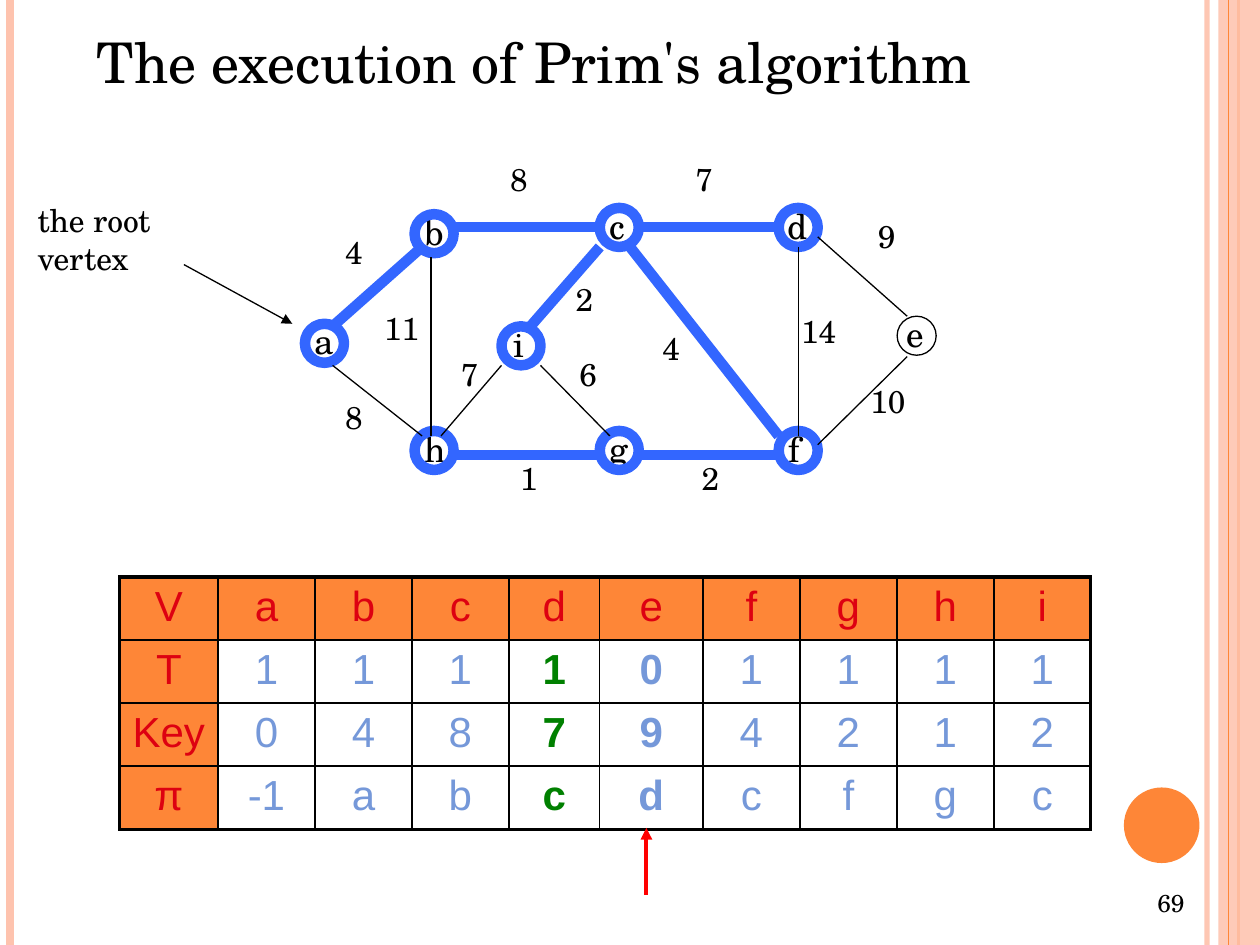
"""Build a slide showing one step of Prim's algorithm with its graph and state table."""
from lxml import etree
from pptx import Presentation
from pptx.dml.color import RGBColor
from pptx.enum.shapes import MSO_CONNECTOR, MSO_SHAPE
from pptx.enum.text import MSO_AUTO_SIZE, PP_ALIGN
from pptx.oxml.ns import qn
from pptx.util import Inches, Pt

STRAIGHT = MSO_CONNECTOR.STRAIGHT
RECT, OVAL = MSO_SHAPE.RECTANGLE, MSO_SHAPE.OVAL
LEFT, CENTER, RIGHT = PP_ALIGN.LEFT, PP_ALIGN.CENTER, PP_ALIGN.RIGHT

SERIF, SANS = "TeX Gyre Schola", "Arial"
C = {"black": "000000", "orange": "FE8637", "peach": "FEC3AE", "tree": "3366FF",
     "head": "DD0111", "value": "7598D9", "current": "008000", "pointer": "FF0000"}

STRIPES = [(9.58, "peach", 3, 93), (0.08, "peach", 4.5, 100), (9.83, "orange", 1.5, 100)]

RING = 0.31
NODES = [  # name, ring left, ring top, text left, text width
    ("a", 2.42, 2.57, 2.40, 0.36), ("b", 3.29, 1.70, 3.27, 0.36),
    ("h", 3.29, 3.42, 3.27, 0.36), ("c", 4.76, 1.65, 4.74, 0.34),
    ("d", 6.18, 1.65, 6.15, 0.36), ("e", 7.12, 2.51, 7.10, 0.36),
    ("f", 6.18, 3.42, 6.16, 0.28), ("g", 4.76, 3.42, 4.74, 0.36),
    ("i", 3.98, 2.59, 3.98, 0.28),
]
OUTSIDE_TREE = "e"

TREE_EDGES = [
    (2.64, 2.59, 3.35, 1.96), (3.58, 1.80, 4.76, 1.80), (3.58, 3.61, 4.76, 3.61),
    (5.08, 3.61, 6.18, 3.61), (5.00, 1.96, 6.18, 3.46), (5.08, 1.80, 6.18, 1.80),
    (4.21, 2.59, 4.76, 1.96),
]
OTHER_EDGES = [
    (2.64, 2.90, 3.35, 3.46), (3.42, 2.04, 3.42, 3.46), (6.34, 1.96, 6.34, 3.46),
    (6.49, 1.88, 7.20, 2.51), (6.49, 3.53, 7.20, 2.83), (4.29, 2.90, 4.84, 3.46),
    (3.50, 3.46, 3.98, 2.90),
]
WEIGHTS = [
    ("4", 2.64, 1.80), ("8", 3.95, 1.22), ("7", 5.42, 1.22), ("9", 6.87, 1.67),
    ("10", 6.81, 2.98), ("14", 6.26, 2.43), ("4", 5.16, 2.56), ("2", 4.47, 2.17),
    ("2", 5.47, 3.59), ("6", 4.50, 2.77), ("1", 4.03, 3.59), ("7", 3.56, 2.77),
    ("11", 2.95, 2.40), ("8", 2.64, 3.11),
]

ROWS = [
    ["V", "a", "b", "c", "d", "e", "f", "g", "h", "i"],
    ["T", "1", "1", "1", "1", "0", "1", "1", "1", "1"],
    ["Key", "0", "4", "8", "7", "9", "4", "2", "1", "2"],
    ["π", "-1", "a", "b", "c", "d", "c", "f", "g", "c"],
]
COL_WIDTHS = [0.78, 0.77, 0.77, 0.77, 0.72, 0.82, 0.77, 0.77, 0.77, 0.77]
ROW_HEIGHT = 0.5
CURRENT_COL, NEXT_COL = 4, 5


def rgb(name):
    return RGBColor.from_string(C[name])


def set_alpha(fill_parent, percent):
    clr = fill_parent.find(".//" + qn("a:srgbClr"))
    etree.SubElement(clr, qn("a:alpha"), val=str(percent * 1000))


def add_line(s, x1, y1, x2, y2, color, width, arrow=False, alpha=100):
    line = s.shapes.add_connector(STRAIGHT, Inches(x1), Inches(y1), Inches(x2), Inches(y2))
    line.line.color.rgb = rgb(color)
    line.line.width = Pt(width)
    sp_pr = line._element.spPr
    if alpha < 100:
        set_alpha(sp_pr, alpha)
    if arrow:
        etree.SubElement(sp_pr.find(qn("a:ln")), qn("a:tailEnd"), type="triangle")
    etree.SubElement(sp_pr, qn("a:effectLst"))


def add_shape(s, kind, x, y, w, h, fill=None, line=None, width=0.75):
    sp = s.shapes.add_shape(kind, Inches(x), Inches(y), Inches(w), Inches(h))
    sp.shadow.inherit = False
    if fill:
        sp.fill.solid()
        sp.fill.fore_color.rgb = rgb(fill)
    else:
        sp.fill.background()
    if line:
        sp.line.color.rgb = rgb(line)
        sp.line.width = Pt(width)
    else:
        sp.line.fill.background()
    return sp


def style(p, text, size, font, color, align=LEFT, bold=False):
    p.text = text
    p.alignment = align
    p.font.size, p.font.name, p.font.bold = Pt(size), font, bold
    p.font.color.rgb = rgb(color)


def add_text(s, text, x, y, w, h, size, align=LEFT, wrap=True):
    tf = s.shapes.add_textbox(Inches(x), Inches(y), Inches(w), Inches(h)).text_frame
    tf.word_wrap = wrap
    tf.auto_size = MSO_AUTO_SIZE.SHAPE_TO_FIT_TEXT
    style(tf.paragraphs[0], text, size, SERIF, "black", align)


def set_borders(cell, outer_sides):
    tc_pr = cell._tc.get_or_add_tcPr()
    for side in "LRTB":
        width = Pt(2.25 if side in outer_sides else 1)
        ln = etree.SubElement(tc_pr, qn("a:ln" + side), w=str(width))
        fill = etree.SubElement(ln, qn("a:solidFill"))
        etree.SubElement(fill, qn("a:srgbClr"), val=C["black"])


def add_state_table(s, x, y):
    n_rows, n_cols = len(ROWS), len(COL_WIDTHS)
    table = s.shapes.add_table(n_rows, n_cols, Inches(x), Inches(y),
                               Inches(sum(COL_WIDTHS)), Inches(n_rows * ROW_HEIGHT)).table
    table.first_row = table.horz_banding = False
    for col, width in zip(table.columns, COL_WIDTHS):
        col.width = Inches(width)
    for i, values in enumerate(ROWS):
        table.rows[i].height = Inches(ROW_HEIGHT)
        for j, value in enumerate(values):
            cell = table.cell(i, j)
            edges = {"L": j == 0, "R": j == n_cols - 1, "T": i == 0, "B": i == n_rows - 1}
            set_borders(cell, [side for side, outer in edges.items() if outer])
            header = i == 0 or j == 0
            if header:
                cell.fill.solid()
                cell.fill.fore_color.rgb = rgb("orange")
                color = "head"
            else:
                cell.fill.background()
                color = "current" if j == CURRENT_COL else "value"
            bold = not header and j in (CURRENT_COL, NEXT_COL)
            style(cell.text_frame.paragraphs[0], value, 24, SANS, color, CENTER, bold)


def add_frame(s):
    for x, color, width, alpha in STRIPES:
        add_line(s, x, 0, x, 7.5, color, width, alpha=alpha)
    band = add_shape(s, RECT, 9.67, 0, 0.33, 7.5, "peach")
    set_alpha(band._element.spPr, 87)
    add_line(s, 9.75, 0, 9.75, 7.5, "orange", 0.75)
    add_shape(s, OVAL, 8.92, 6.25, 0.6, 0.6, "orange")
    add_text(s, "69", 7.17, 7, 2.33, 0.35, 14, RIGHT)


def add_graph(s):
    for name, x, y, text_x, text_w in NODES:
        add_text(s, name, text_x, y - 0.08, text_w, 0.43, 20, wrap=False)
        color, width = ("black", 0.75) if name == OUTSIDE_TREE else ("tree", 6)
        add_shape(s, OVAL, x, y, RING, RING, line=color, width=width)
    for edges, color, width in ((TREE_EDGES, "tree", 6), (OTHER_EDGES, "black", 0.75)):
        for edge in edges:
            add_line(s, *edge, color, width)
    for weight, x, y in WEIGHTS:
        add_text(s, weight, x, y, 0.2 + 0.14 * len(weight), 0.4, 18, wrap=False)


def main():
    prs = Presentation()
    prs.slide_width, prs.slide_height = Inches(10), Inches(7.5)
    s = prs.slides.add_slide(prs.slide_layouts[6])
    add_frame(s)
    add_text(s, "The execution of Prim's algorithm", 0.67, 0.17, 8.58, 0.64, 32)
    add_text(s, "the root vertex", 0.2, 1.55, 1.34, 0.9, 18)
    add_line(s, 1.46, 2.1, 2.32, 2.57, "black", 0.75, arrow=True)
    add_state_table(s, 0.95, 4.58)
    add_graph(s)
    add_line(s, 5.13, 7.1, 5.13, 6.57, "pointer", 2.25, arrow=True)
    prs.save("out.pptx")


if __name__ == "__main__":
    main()
